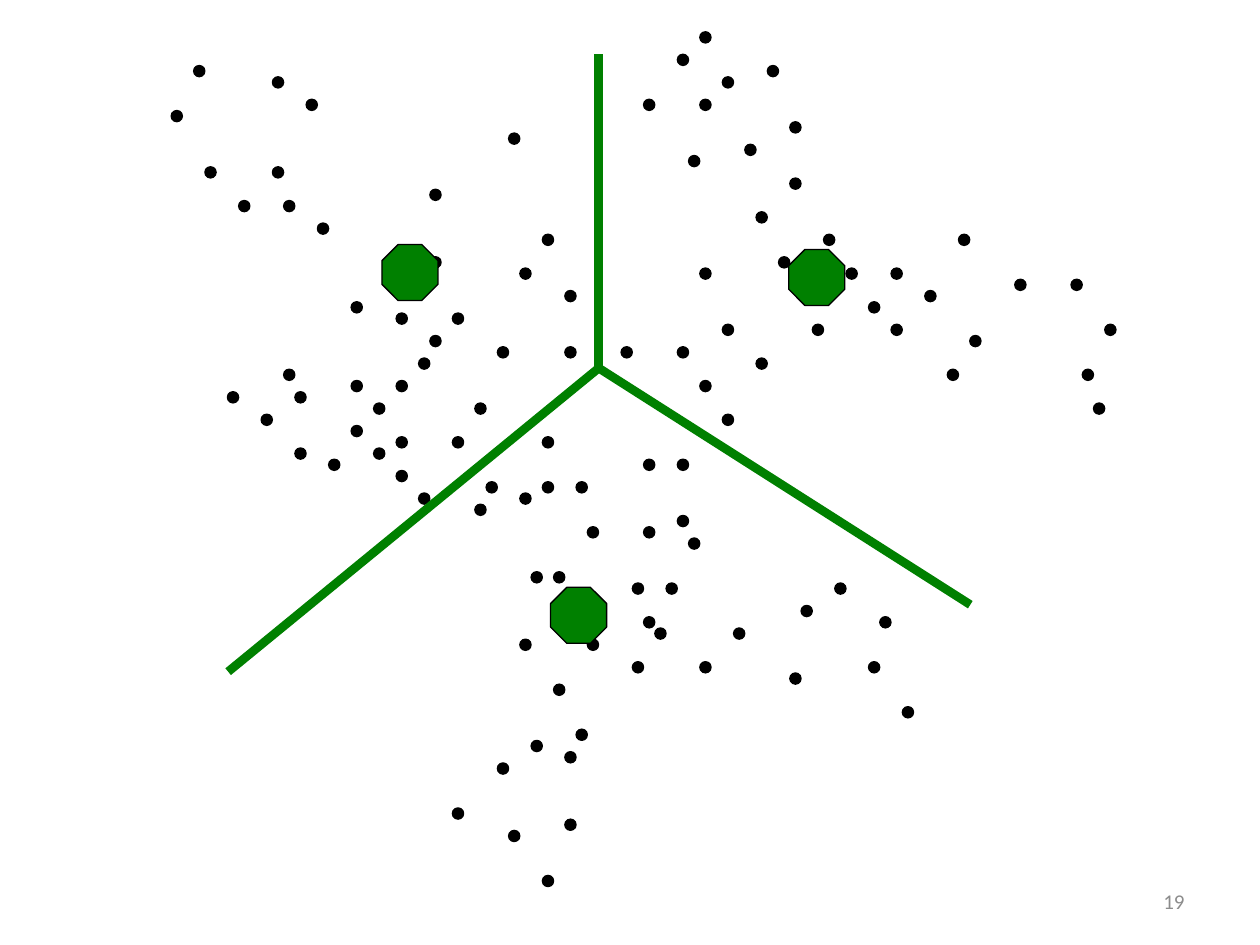
"""Build a slide of scattered points split among three cluster centres."""
from typing import NamedTuple

from lxml import etree
from pptx import Presentation
from pptx.dml.color import RGBColor
from pptx.enum.shapes import MSO_CONNECTOR, MSO_SHAPE
from pptx.enum.text import MSO_ANCHOR, PP_ALIGN
from pptx.oxml.ns import qn
from pptx.util import Cm, Pt

OVAL = MSO_SHAPE.OVAL
OCTAGON = MSO_SHAPE.OCTAGON
STRAIGHT = MSO_CONNECTOR.STRAIGHT
MIDDLE = MSO_ANCHOR.MIDDLE
RIGHT = PP_ALIGN.RIGHT

BLACK = RGBColor(0x00, 0x00, 0x00)
GREEN = RGBColor(0x00, 0x80, 0x00)
GREY = RGBColor(0x8C, 0x8C, 0x8C)


class Point(NamedTuple):
    x: float
    y: float


GRID_ORIGIN = Point(3.45, 0.64)
PITCH = 18.82 / 83
CENTROID_SIZE = 1.13
JUNCTION = Point(12.07, 7.42)
BORDER_ENDS = [Point(4.6, 13.54), Point(12.07, 1.09), Point(19.56, 12.19)]
CENTROIDS = [Point(11.1, 11.84), Point(15.9, 5.03), Point(7.7, 4.93)]

DOT_COLUMNS_BY_ROW = {
    0: [47], 2: [45], 3: [2, 53], 4: [9, 49], 6: [12, 42, 47], 7: [0],
    8: [55], 9: [30], 10: [51], 11: [46], 12: [3, 9], 13: [55], 14: [23],
    15: [6, 10], 16: [52], 17: [13], 18: [33, 58, 70], 20: [23, 54],
    21: [31, 47, 60, 64], 22: [75, 80], 23: [35, 67], 24: [16, 62],
    25: [20, 25], 26: [49, 57, 64, 83], 27: [23, 71], 28: [29, 35, 40, 45],
    29: [22, 52], 30: [10, 69, 81], 31: [16, 20, 47], 32: [5, 11],
    33: [18, 27, 82], 34: [8, 49], 35: [16], 36: [20, 25, 33], 37: [11, 18],
    38: [14, 42, 45], 39: [20], 40: [28, 33, 36], 41: [22, 31], 42: [27],
    43: [45], 44: [37, 42], 45: [46], 48: [32, 34], 49: [41, 44, 59],
    51: [35, 56], 52: [42, 63], 53: [43, 50], 54: [31, 37], 56: [41, 47, 62],
    57: [55], 58: [34], 60: [65], 62: [36], 63: [32], 64: [35], 65: [29],
    69: [25], 70: [35], 71: [30], 75: [33],
}


def add_marker(shapes, kind: MSO_SHAPE, at: Point, size: float, fill: RGBColor):
    """Add a filled marker with a thin black outline."""
    sp = shapes.add_shape(kind, Cm(at.x), Cm(at.y), Cm(size), Cm(size))
    sp.shadow.inherit = False
    sp.fill.solid()
    sp.fill.fore_color.rgb = fill
    sp.line.color.rgb = BLACK
    sp.line.width = Pt(0.75)
    return sp


def add_border(shapes, start: Point, end: Point) -> None:
    """Add a thick green line between two clusters."""
    line = shapes.add_connector(
        STRAIGHT, Cm(start.x), Cm(start.y), Cm(end.x), Cm(end.y))
    line.line.color.rgb = GREEN
    line.line.width = Pt(5)
    etree.SubElement(line._element.spPr, qn("a:effectLst"))


def add_slide_number(shapes, text: str) -> None:
    """Add the grey number at the lower right."""
    tf = shapes.add_textbox(Cm(18.21), Cm(17.65), Cm(5.92), Cm(1.02)).text_frame
    tf.word_wrap = True
    tf.vertical_anchor = MIDDLE
    p = tf.paragraphs[0]
    p.alignment = RIGHT
    r = p.add_run()
    r.text = text
    r.font.name = "Calibri"
    r.font.size = Pt(12)
    r.font.color.rgb = GREY


def main() -> None:
    """Draw the slide and save it."""
    prs = Presentation()
    prs.slide_width, prs.slide_height = Cm(25.4), Cm(19.05)
    s = prs.slides.add_slide(prs.slide_layouts[6])

    dots = s.shapes.add_group_shape().shapes
    for row, columns in DOT_COLUMNS_BY_ROW.items():
        for column in columns:
            at = Point(GRID_ORIGIN.x + column * PITCH, GRID_ORIGIN.y + row * PITCH)
            add_marker(dots, OVAL, at, PITCH, BLACK)

    borders = s.shapes.add_group_shape().shapes
    for end in BORDER_ENDS:
        add_border(borders, JUNCTION, end)

    for at in CENTROIDS:
        sp = add_marker(s.shapes, OCTAGON, at, CENTROID_SIZE, GREEN)
        sp.adjustments[0] = 0.29

    add_slide_number(s.shapes, "19")
    prs.save("out.pptx")


if __name__ == "__main__":
    main()
